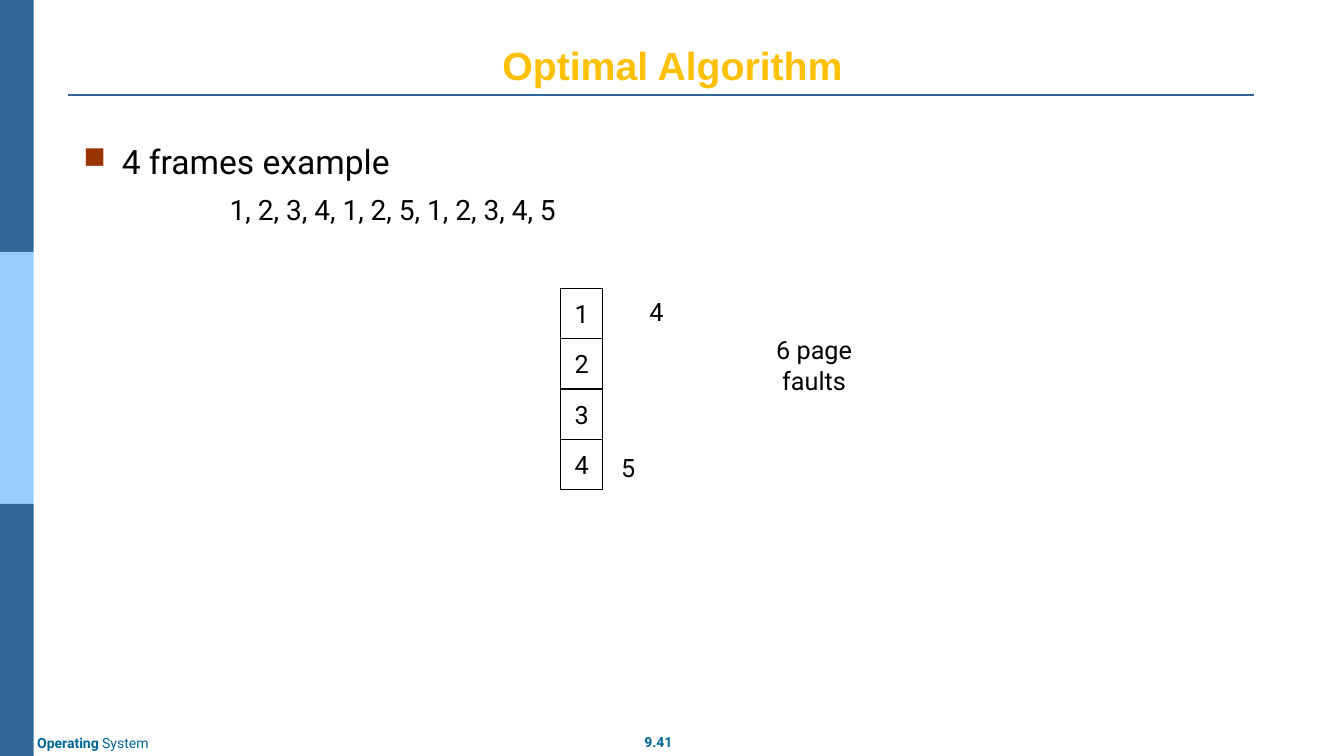
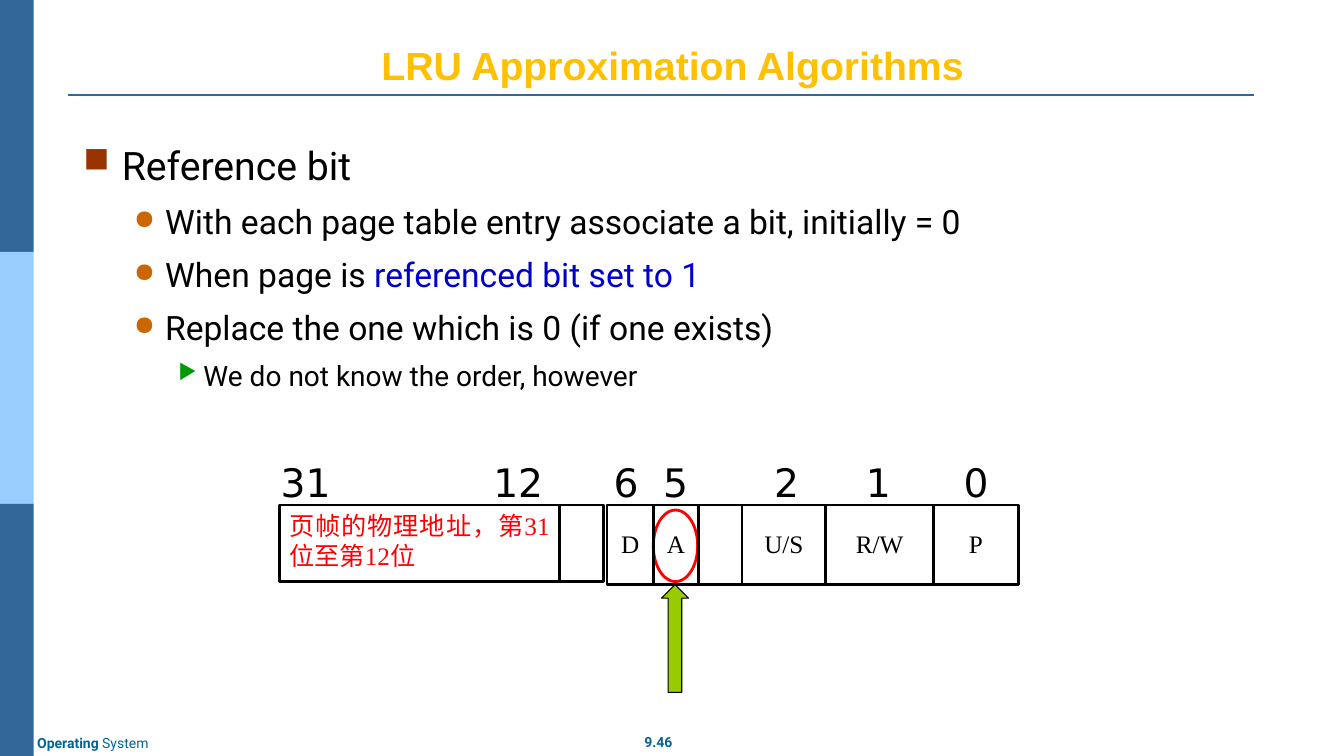
from lxml import etree
from pptx import Presentation
from pptx.dml.color import RGBColor
from pptx.enum.shapes import MSO_CONNECTOR, MSO_SHAPE
from pptx.enum.text import MSO_ANCHOR, MSO_AUTO_SIZE, PP_ALIGN
from pptx.oxml.ns import qn
from pptx.util import Inches, Pt

RECT, OVAL, ARROW = MSO_SHAPE.RECTANGLE, MSO_SHAPE.OVAL, MSO_SHAPE.UP_ARROW
LEFT, MID, JUST = PP_ALIGN.LEFT, PP_ALIGN.CENTER, PP_ALIGN.JUSTIFY
TOP, CORE, BASE = MSO_ANCHOR.TOP, MSO_ANCHOR.MIDDLE, MSO_ANCHOR.BOTTOM

# Theme: colours, type styles and bullet levels
WIDE, HIGH = 13.33, 7.5
INK = {"black": "000000", "white": "FFFFFF", "navy": "336699", "sky": "99CCFF",
       "teal": "006699", "gold": "FFC000", "red": "FF0000", "blue": "0000CC",
       "rust": "993300", "orange": "CC6600", "green": "009900", "lime": "99CC00"}
THEME = {
    "title": {"name": "Arial", "size": 28, "color": "gold", "bold": True},
    "foot": {"name": "Roboto", "size": 10, "color": "teal", "bold": False},
    "foot bold": {"name": "Roboto", "size": 10, "color": "teal", "bold": True},
    "body": {"name": "Roboto", "size": 24, "color": "black"},
    "cell": {"name": "Roboto", "size": 18, "color": "black"},
    "flag": {"name": "Times New Roman", "size": 18, "color": "black"},
    "frame": {"name": "Times New Roman", "size": 18, "color": "red",
              "east": "Noto Sans CJK SC"},
    "bit": {"name": "DejaVu Sans", "size": 28, "color": "black"},
}
# Each level: left margin, hang, bullet sign, bullet colour, bullet percent
LEVELS = [
    (0.38, 0.38, "■", "rust", 90),
    (0.81, 0.31, "●", "orange", 80),
    (1.19, 0.25, "▶", "green", 75),
    (1.45, 0, None, None, None),
]

# Content: each body line is level, size, then parts with their colours
OPT = {
    "title": "Optimal Algorithm", "page": "9.41",
    "body": [
        (0, 24, [("4 frames example", "black")]),
        (3, 20, [("1, 2, 3, 4, 1, 2, 5, 1, 2, 3, 4, 5", "black")]),
    ],
}
LRU = {
    "title": "LRU Approximation Algorithms", "page": "9.46",
    "body": [
        (0, 28, [("Reference bit", "black")]),
        (1, 24, [("With each page table entry associate a bit, initially = 0",
                  "black")]),
        (1, 24, [("When page is ", "black"),
                 ("referenced bit set to 1", "blue")]),
        (1, 24, [("Replace the one which is 0 (if one exists)", "black")]),
        (2, 20, [("We do not know the order, however", "black")]),
    ],
}
FRAMES = ["1", "2", "3", "4"]
NOTES = [("4", 6.34, 2.89, 0.34), ("6 page faults", 7.26, 3.42, 1.63),
         ("5", 6.06, 4.44, 0.34)]
# Page table entry: left, height, then the cells with their widths
ENTRY = [
    (2.77, 0.76, [("页帧的物理地址，第31位至第12位", 2.78), ("", 0.44)]),
    (6.02, 0.79, [("D", 0.46), ("A", 0.45), ("", 0.43), ("U/S", 0.83),
                  ("R/W", 1.07), ("P", 0.84)]),
]
BITS = [("31", 3.03), ("12", 5.14), ("6", 6.21), ("5", 6.7), ("2", 7.8),
        ("1", 8.71), ("0", 9.68)]


def rgb(name):
    return RGBColor.from_string(INK[name])


def add_run(para, text, style, **more):
    run = para.add_run()
    run.text = text
    form = {**THEME[style], **more}
    run.font.color.rgb = rgb(form.pop("color"))
    form["size"] = Pt(form["size"])
    east = form.pop("east", None)
    for key, val in form.items():
        setattr(run.font, key, val)
    if east:
        mark = etree.SubElement(run.font._element, qn("a:ea"))
        mark.set("typeface", east)


def set_frame(shape, anchor=TOP, **more):
    frame = shape.text_frame
    form = {"word_wrap": True, "auto_size": MSO_AUTO_SIZE.NONE,
            "vertical_anchor": anchor, **more}
    for key, val in form.items():
        setattr(frame, key, val)
    return frame


def write(shape, parts, align=MID, anchor=TOP, **more):
    para = set_frame(shape, anchor, **more).paragraphs[0]
    para.alignment = align
    for text, style in parts:
        add_run(para, text, style)


def add_text(slide, box, parts, align=MID, anchor=TOP):
    shape = slide.shapes.add_textbox(*map(Inches, box))
    write(shape, parts, align, anchor)


def add_form(slide, kind, box, fill=None, line=None, width=0.75):
    shape = slide.shapes.add_shape(kind, *map(Inches, box))
    shape.shadow.inherit = False
    if fill:
        shape.fill.solid()
        shape.fill.fore_color.rgb = rgb(fill)
    else:
        shape.fill.background()
    if line:
        shape.line.color.rgb = rgb(line)
        shape.line.width = Pt(width)
    else:
        shape.line.fill.background()
    return shape


def add_body(slide, lines):
    box = slide.shapes.add_textbox(*map(Inches, (0.73, 1.35, 12, 4.95)))
    frame = set_frame(box)
    for i, (level, size, parts) in enumerate(lines):
        para = frame.add_paragraph() if i else frame.paragraphs[0]
        if i:
            para.space_before = Pt(round(size * 0.38))
        margin, hang, sign, color, share = LEVELS[level]
        props = para._p.get_or_add_pPr()
        props.set("marL", str(Inches(margin)))
        props.set("indent", str(-Inches(hang)))
        if sign:
            tint = etree.SubElement(props, qn("a:buClr"))
            etree.SubElement(tint, qn("a:srgbClr")).set("val", INK[color])
            scale = etree.SubElement(props, qn("a:buSzPct"))
            scale.set("val", str(share * 1000))
            etree.SubElement(props, qn("a:buChar")).set("char", sign)
        for text, tone in parts:
            add_run(para, text, "body", size=size, color=tone)


def add_page(deck, data):
    slide = deck.slides.add_slide(deck.slide_layouts[5])
    # Side bands and rule
    band = HIGH / 3
    for i, fill in enumerate(["navy", "sky", "navy"]):
        add_form(slide, RECT, (0, i * band, WIDE / 40, band), fill)
    rule = slide.shapes.add_connector(
        MSO_CONNECTOR.STRAIGHT, *map(Inches, (0.67, 0.94, 12.44, 0.94)))
    rule.line.color.rgb = rgb("navy")
    rule.line.width = Pt(1.5)
    etree.SubElement(rule._element.spPr, qn("a:effectLst"))
    # Footer
    add_text(slide, (6.03, 7.23, 1, 0.27), [(data["page"], "foot bold")])
    add_text(slide, (0.27, 7.24, 1.41, 0.27),
             [("Operating ", "foot bold"), ("System", "foot")], LEFT)
    # Title and body
    title = slide.shapes.title
    title.left, title.top, title.width, title.height = map(
        Inches, (0.67, 0.3, 12, 0.63))
    write(title, [(data["title"], "title")], anchor=BASE)
    add_body(slide, data["body"])
    return slide


def draw_opt(slide):
    # Stack of frames
    step = 0.5
    for i, text in enumerate(FRAMES):
        cell = add_form(slide, RECT, (5.56, 2.86 + i * step, 0.42, step),
                        "white", "black")
        write(cell, [(text, "cell")], anchor=CORE)
    for text, left, top, width in NOTES:
        add_text(slide, (left, top, width, 0.4), [(text, "cell")],
                 anchor=CORE)


def draw_lru(slide):
    add_form(slide, OVAL, (6.48, 5.06, 0.44, 0.71), "white", "red", 2)
    # Entry cells
    for left, height, cells in ENTRY:
        for text, width in cells:
            cell = add_form(slide, RECT, (left, 5.01, width, height),
                            None, "black", 2)
            left += width
            if len(text) > 3:
                write(cell, [(text, "frame")], JUST)
            elif text:
                write(cell, [(text, "flag")], margin_top=Inches(0.23))
    # Bit numbers and pointer
    for text, center in BITS:
        add_text(slide, (center - 0.375, 4.5, 0.75, 0.61), [(text, "bit")])
    add_form(slide, ARROW, (6.56, 5.8, 0.27, 1.07), "lime", "black")


def main():
    deck = Presentation()
    deck.slide_width, deck.slide_height = Inches(WIDE), Inches(HIGH)
    for data, draw in [(OPT, draw_opt), (LRU, draw_lru)]:
        draw(add_page(deck, data))
    deck.save("out.pptx")


if __name__ == "__main__":
    main()
